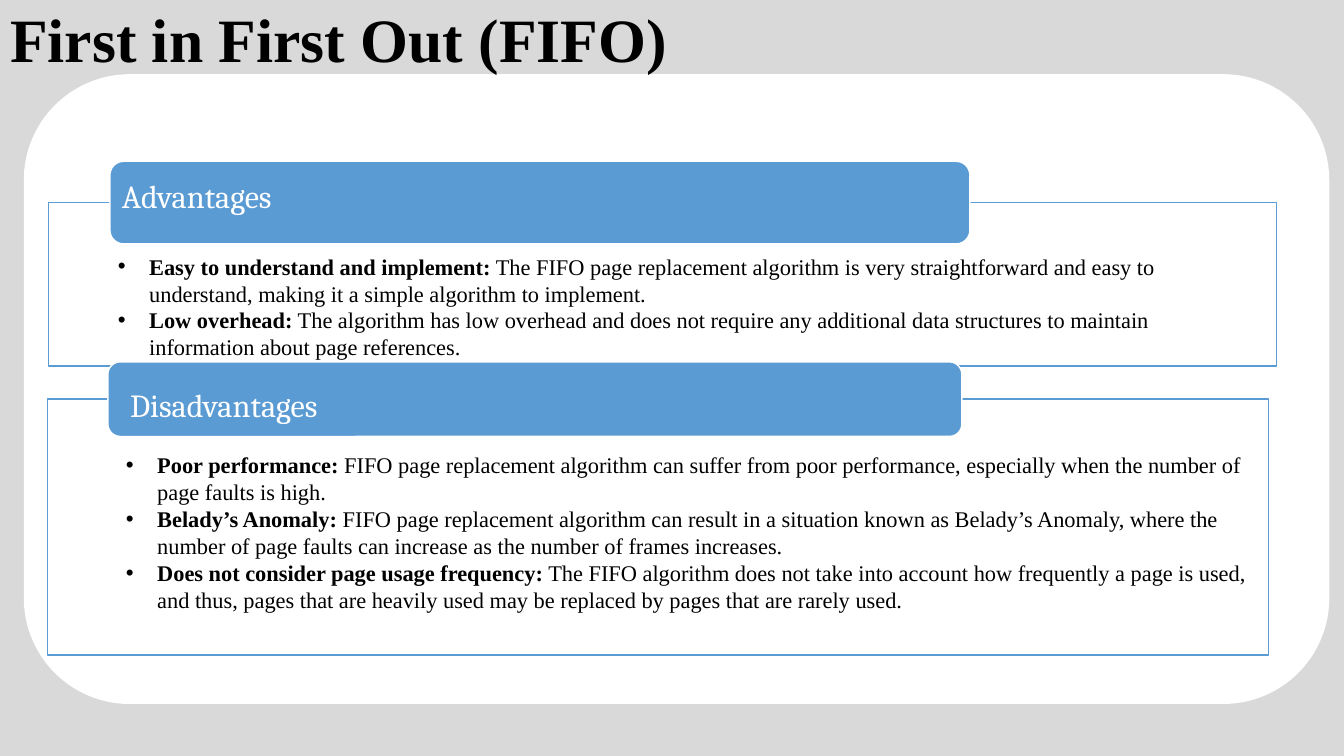
from lxml.etree import SubElement
from pptx import Presentation
from pptx.dml.color import RGBColor
from pptx.enum.shapes import MSO_SHAPE
from pptx.enum.text import MSO_ANCHOR, MSO_AUTO_SIZE, PP_ALIGN
from pptx.oxml.ns import qn
from pptx.util import Inches, Pt


def rgb(value):
    return RGBColor.from_string(value)


class Deck:
    BODY_FONT, HEAD_FONT = "Times New Roman", "Cambria"
    BLUE, WHITE, BLACK, GRAY = "5B9BD4", "FFFFFF", "000000", "D9D9D9"

    def __init__(self):
        self.prs = Presentation()
        self.prs.slide_width = Inches(13.33)
        self.prs.slide_height = Inches(7.5)
        self.s = self.prs.slides.add_slide(self.prs.slide_layouts[5])
        fill = self.s.background.fill
        fill.solid()
        fill.fore_color.rgb = rgb(self.GRAY)

    def style(self, r, font, size, color, bold=False):
        r.font.name = font
        r.font.size = Pt(size)
        r.font.bold = bold
        r.font.color.rgb = rgb(color)

    def frame(self, tf):
        tf.word_wrap = True
        tf.auto_size = MSO_AUTO_SIZE.NONE
        tf.vertical_anchor = MSO_ANCHOR.TOP
        tf.margin_left = tf.margin_right = tf.margin_bottom = 0
        tf.margin_top = Inches(0.01)

    def title(self, text):
        sp = self.s.shapes.title
        sp.left, sp.top, sp.width, sp.height = map(Inches, (0.1, 0, 6.55, 0.76))
        tf = sp.text_frame
        self.frame(tf)
        tf.text = text
        p = tf.paragraphs[0]
        p.alignment = PP_ALIGN.LEFT
        p.space_before = Pt(1)
        self.style(p.runs[0], self.BODY_FONT, 44, self.BLACK, True)

    def shape(self, kind, box, line, width, fill=None):
        sp = self.s.shapes.add_shape(kind, *map(Inches, box))
        sp.shadow.inherit = False
        if fill:
            sp.fill.solid()
            sp.fill.fore_color.rgb = rgb(fill)
        else:
            sp.fill.background()
        sp.line.color.rgb = rgb(line)
        sp.line.width = Pt(width)
        return sp

    def panel(self, box):
        sp = self.shape(MSO_SHAPE.ROUNDED_RECTANGLE, box, self.WHITE, 2, self.WHITE)
        self.s.shapes.title._element.addprevious(sp._element)

    def bullet(self, p, label, text):
        pPr = p._p.get_or_add_pPr()
        pPr.set("marL", str(Inches(0.31)))
        pPr.set("indent", str(-Inches(0.31)))
        SubElement(pPr, qn("a:buFont"), typeface="Arial")
        SubElement(pPr, qn("a:buChar"), char="•")
        for part, bold in ((label, True), (" " + text, False)):
            r = p.add_run()
            r.text = part
            self.style(r, self.BODY_FONT, 16, self.BLACK, bold)

    def section(self, heading, frame, tab, text, gap, points):
        self.shape(MSO_SHAPE.RECTANGLE, frame, self.BLUE, 1)
        self.shape(MSO_SHAPE.ROUNDED_RECTANGLE, tab, self.WHITE, 1, self.BLUE)
        tf = self.s.shapes.add_textbox(*map(Inches, text)).text_frame
        self.frame(tf)
        tf.text = heading
        p = tf.paragraphs[0]
        p.space_before = Pt(1.1)
        p._p.get_or_add_pPr().set("marL", str(Inches(0.04)))
        self.style(p.runs[0], self.HEAD_FONT, 23, self.WHITE)
        for i, (label, body) in enumerate(points):
            p = tf.add_paragraph()
            p.space_before = Pt(0 if i else gap)
            self.bullet(p, label, body)


def main():
    deck = Deck()
    deck.title("First in First Out (FIFO)")
    deck.panel((0.25, 0.75, 12.92, 6.22))
    deck.section(
        "Advantages",
        (0.48, 2.01, 12.18, 1.62), (1.09, 1.6, 8.53, 0.82), (1.17, 1.74, 11, 1.85), 27,
        [
            ("Easy to understand and implement:",
             "The FIFO page replacement algorithm is very straightforward and easy to "
             "understand, making it a simple algorithm to implement."),
            ("Low overhead:",
             "The algorithm has low overhead and does not require any additional data "
             "structures to maintain information about page references."),
        ])
    deck.section(
        "Disadvantages",
        (0.47, 3.96, 12.11, 2.54), (1.07, 3.59, 8.47, 0.74), (1.25, 3.81, 11.34, 2.6), 20,
        [
            ("Poor performance:",
             "FIFO page replacement algorithm can suffer from poor performance, "
             "especially when the number of page faults is high."),
            ("Belady’s Anomaly:",
             "FIFO page replacement algorithm can result in a situation known as Belady’s "
             "Anomaly, where the number of page faults can increase as the number of "
             "frames increases."),
            ("Does not consider page usage frequency:",
             "The FIFO algorithm does not take into account how frequently a page is used, "
             "and thus, pages that are heavily used may be replaced by pages that are "
             "rarely used."),
        ])
    deck.prs.save("out.pptx")


if __name__ == "__main__":
    main()
